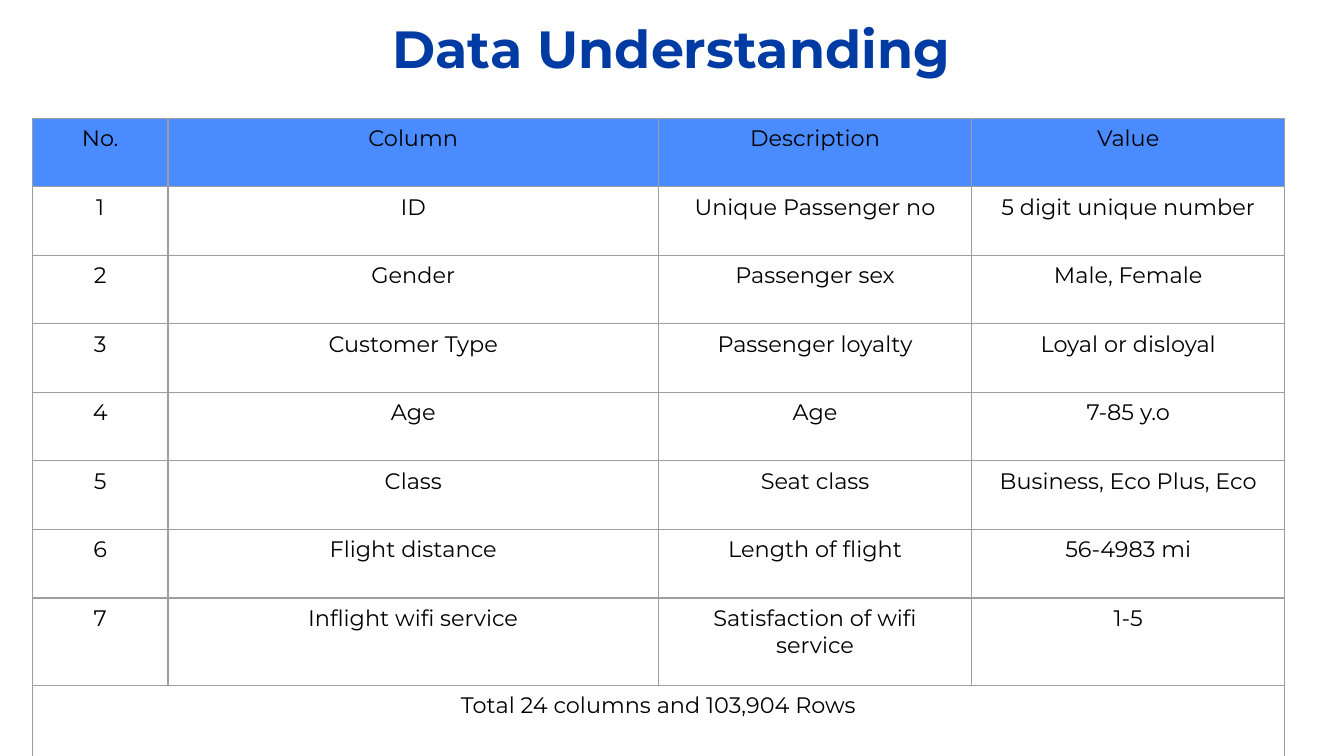
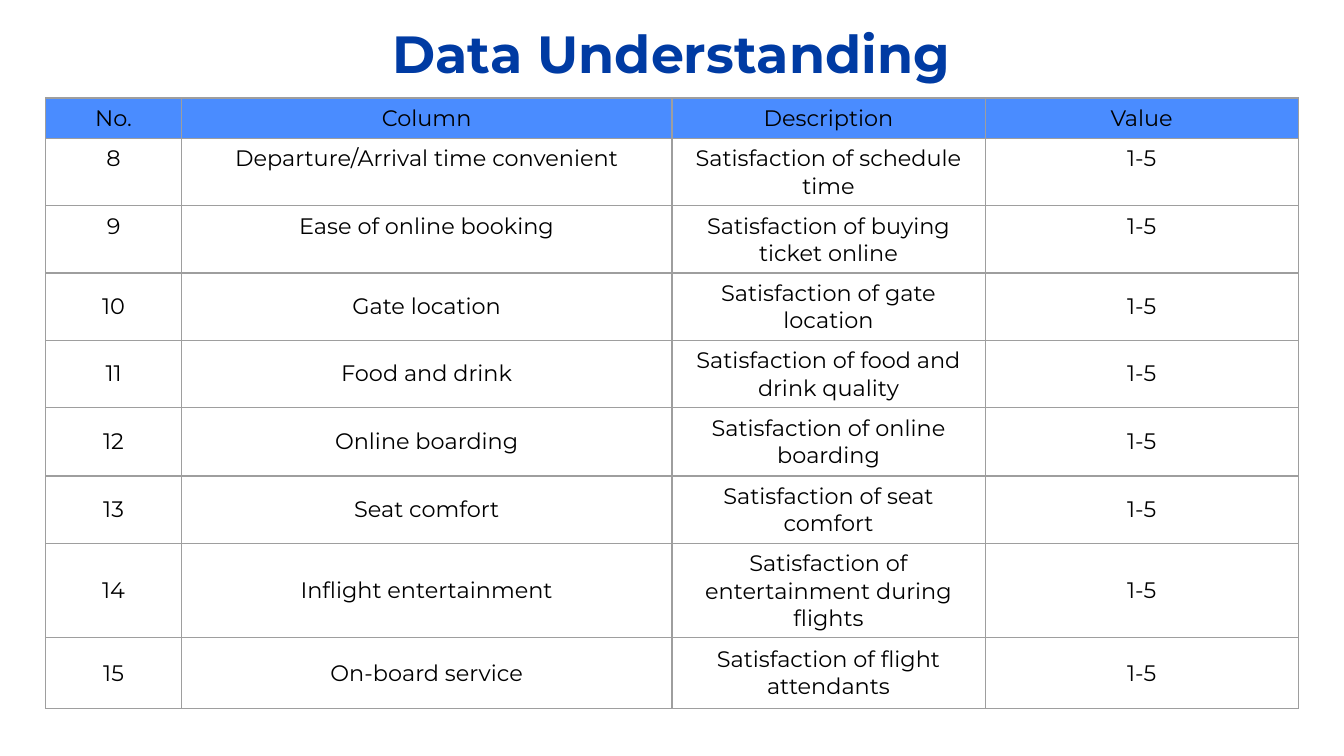
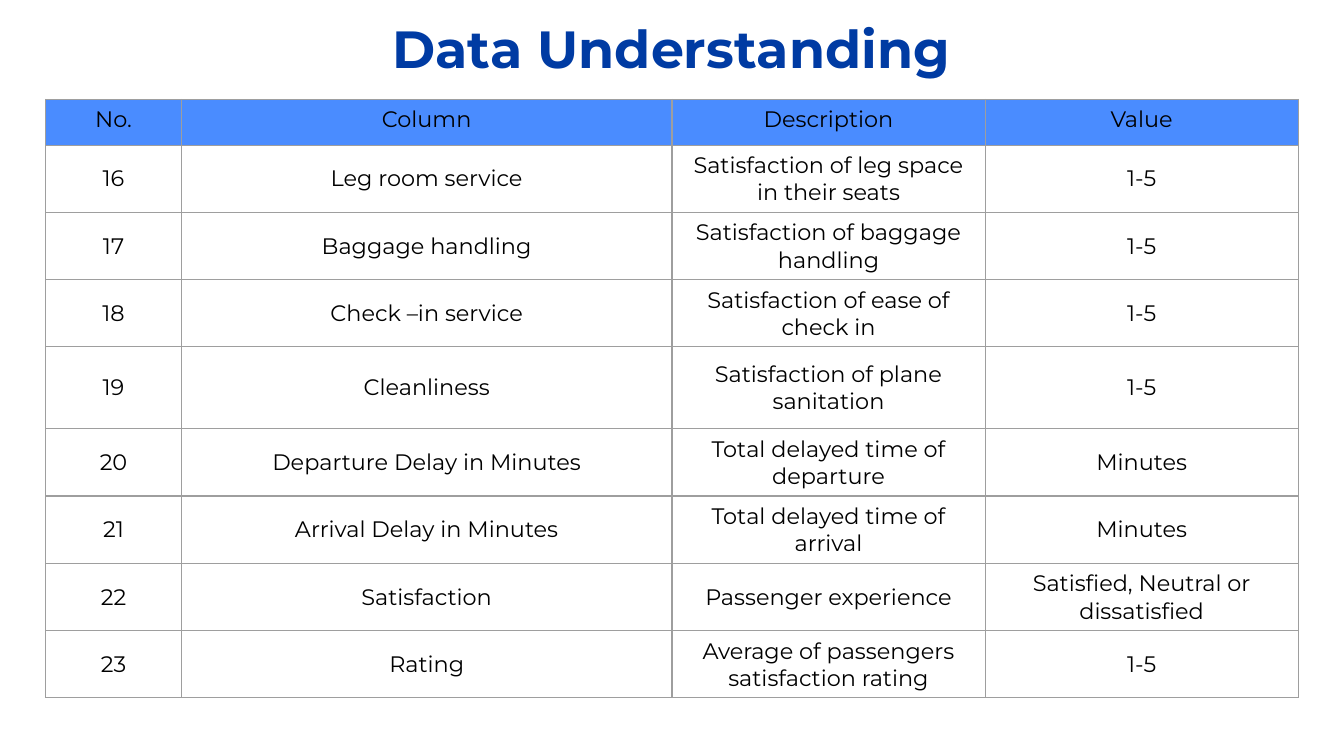
from lxml import etree
from pptx import Presentation
from pptx.dml.color import RGBColor
from pptx.enum.text import MSO_ANCHOR, PP_ALIGN
from pptx.oxml.ns import qn
from pptx.util import Inches, Pt

FONT = "Montserrat"
TITLE_BLUE = RGBColor(0x00, 0x3B, 0xA3)
HEADER_BLUE = RGBColor(0x4A, 0x8C, 0xFF)
BORDER_GRAY = RGBColor(0x9E, 0x9E, 0x9E)
BLACK = RGBColor(0x00, 0x00, 0x00)

TITLE = "Data Understanding"
HEADER = ("No.", "Column", "Description", "Value")
TOTAL = "Total 24 columns and 103,904 Rows"
COLUMN_WIDTHS = (1.01, 3.65, 2.33, 2.33)
FIRST_CENTERED_NUMBER = 10

PAGES = [
    {
        "title_top": 0.02,
        "table_at": (0.24, 0.88),
        "row_heights": [0.51] * 7 + [0.65] * 2,
        "first_number": 1,
        "total": TOTAL,
        "variables": [
            ("ID", "Unique Passenger no", "5 digit unique number"),
            ("Gender", "Passenger sex", "Male, Female"),
            ("Customer Type", "Passenger loyalty", "Loyal or disloyal"),
            ("Age", "Age", "7-85 y.o"),
            ("Class", "Seat class", "Business, Eco Plus, Eco"),
            ("Flight distance", "Length of flight", "56-4983 mi"),
            ("Inflight wifi service", "Satisfaction of wifi service", "1-5"),
        ],
    },
    {
        "title_top": 0.06,
        "table_at": (0.34, 0.73),
        "row_heights": [0.29] + [0.49] * 4 + [0.51, 0.49, 0.68, 0.53],
        "first_number": 8,
        "total": None,
        "variables": [
            ("Departure/Arrival time convenient", "Satisfaction of schedule time", "1-5"),
            ("Ease of online booking", "Satisfaction of buying ticket online", "1-5"),
            ("Gate location", "Satisfaction of gate location", "1-5"),
            ("Food and drink", "Satisfaction of food and drink quality", "1-5"),
            ("Online boarding", "Satisfaction of online boarding", "1-5"),
            ("Seat comfort", "Satisfaction of seat comfort", "1-5"),
            ("Inflight entertainment", "Satisfaction of entertainment during flights", "1-5"),
            ("On-board service", "Satisfaction of flight attendants", "1-5"),
        ],
    },
    {
        "title_top": 0.02,
        "table_at": (0.34, 0.74),
        "row_heights": [0.34] + [0.46] * 3 + [0.61] + [0.46] * 4,
        "first_number": 16,
        "total": None,
        "variables": [
            ("Leg room service", "Satisfaction of leg space in their seats", "1-5"),
            ("Baggage handling", "Satisfaction of baggage handling", "1-5"),
            ("Check –in service", "Satisfaction of ease of check in", "1-5"),
            ("Cleanliness", "Satisfaction of plane sanitation", "1-5"),
            ("Departure Delay in Minutes", "Total delayed time of departure", "Minutes"),
            ("Arrival Delay in Minutes", "Total delayed time of arrival", "Minutes"),
            ("Satisfaction", "Passenger experience", "Satisfied, Neutral or dissatisfied"),
            ("Rating", "Average of passengers satisfaction rating", "1-5"),
        ],
    },
]


def write_centered(frame, text, size, color, bold=False):
    paragraph = frame.paragraphs[0]
    paragraph.text = text
    paragraph.alignment = PP_ALIGN.CENTER
    paragraph.font.name = FONT
    paragraph.font.size = Pt(size)
    paragraph.font.color.rgb = color
    paragraph.font.bold = bold


def add_borders(cell):
    properties = cell._tc.get_or_add_tcPr()
    for position, side in enumerate(("lnL", "lnR", "lnT", "lnB")):
        line = etree.Element(qn(f"a:{side}"), w=str(Pt(0.75)))
        fill = etree.SubElement(line, qn("a:solidFill"))
        etree.SubElement(fill, qn("a:srgbClr"), val=str(BORDER_GRAY))
        properties.insert(position, line)


deck = Presentation()
deck.slide_width = Inches(10)
deck.slide_height = Inches(5.625)

for page in PAGES:
    slide = deck.slides.add_slide(deck.slide_layouts[6])

    title_box = slide.shapes.add_textbox(
        Inches(0.78), Inches(page["title_top"]), Inches(8.43), Inches(1.02)
    )
    title_frame = title_box.text_frame
    title_frame.word_wrap = True
    title_frame.margin_top = title_frame.margin_bottom = Inches(0.1)
    write_centered(title_frame, TITLE, 28, TITLE_BLUE, bold=True)

    numbers = range(page["first_number"], page["first_number"] + len(page["variables"]))
    rows = [HEADER]
    rows += [(str(number), *variable) for number, variable in zip(numbers, page["variables"])]
    if page["total"]:
        rows.append((page["total"],))

    left, top = page["table_at"]
    table = slide.shapes.add_table(
        len(rows), len(HEADER), Inches(left), Inches(top),
        Inches(sum(COLUMN_WIDTHS)), Inches(sum(page["row_heights"])),
    ).table
    table.first_row = False
    table.horz_banding = False
    for column, width in zip(table.columns, COLUMN_WIDTHS):
        column.width = Inches(width)
    for row, height in zip(table.rows, page["row_heights"]):
        row.height = Inches(height)

    for row_index, texts in enumerate(rows):
        if len(texts) == 1:
            table.cell(row_index, 0).merge(table.cell(row_index, len(HEADER) - 1))
        for column_index, text in enumerate(texts):
            cell = table.cell(row_index, column_index)
            write_centered(cell.text_frame, text, 12, BLACK)
            if texts[0].isdigit() and int(texts[0]) >= FIRST_CENTERED_NUMBER:
                cell.vertical_anchor = MSO_ANCHOR.MIDDLE
        for cell in table.rows[row_index].cells:
            if row_index == 0:
                cell.fill.solid()
                cell.fill.fore_color.rgb = HEADER_BLUE
            else:
                cell.fill.background()
            add_borders(cell)

deck.save("out.pptx")
